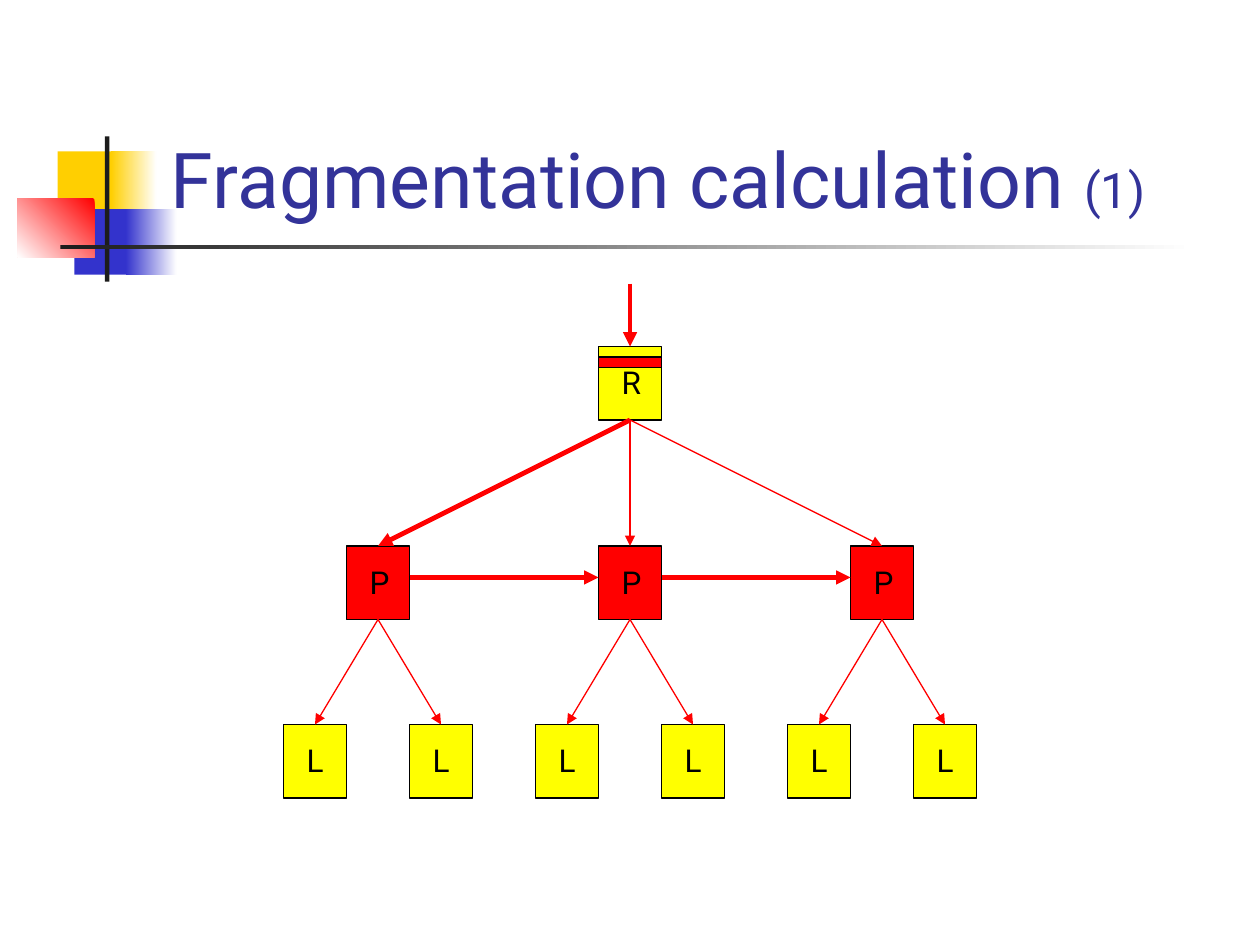
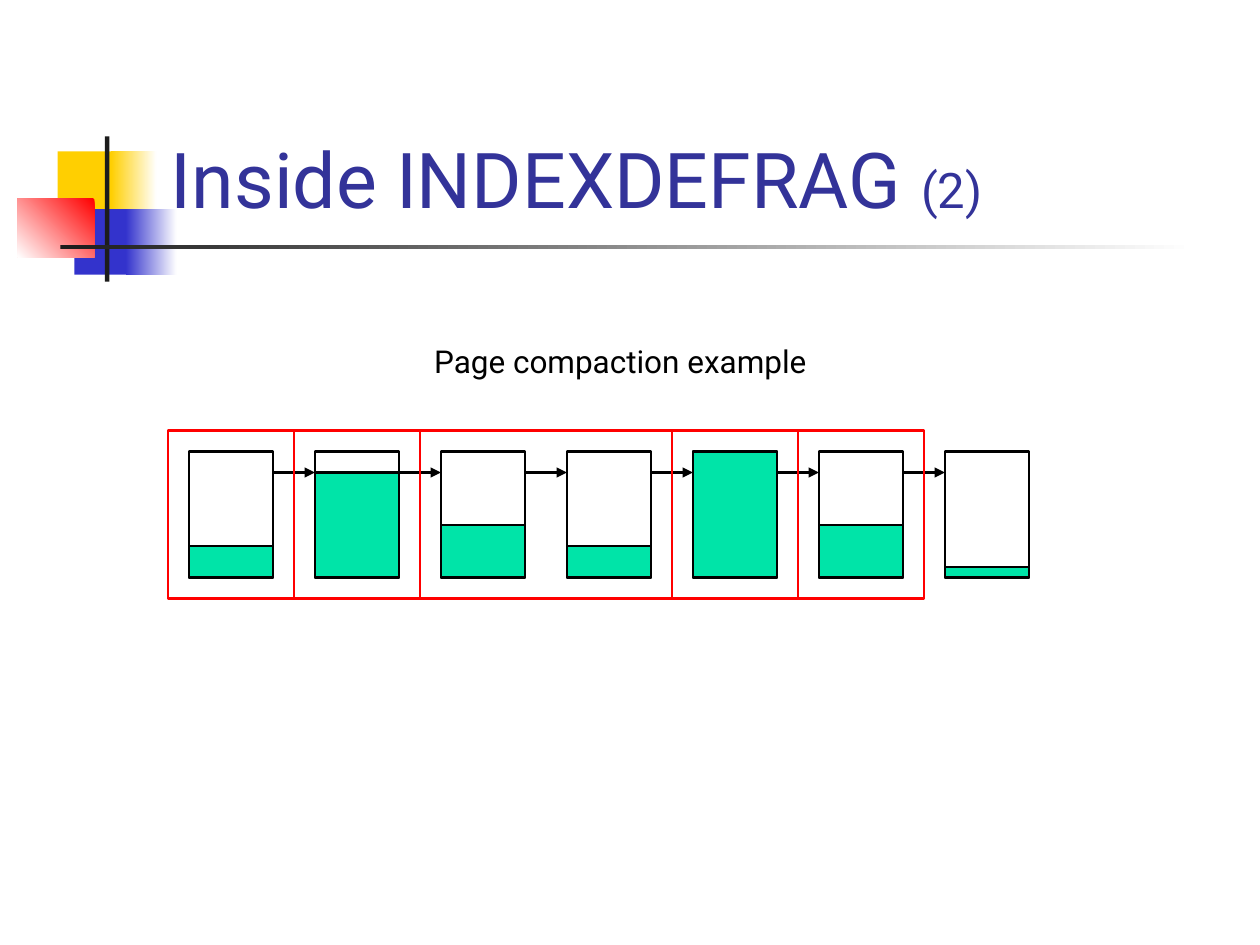
from dataclasses import dataclass
from typing import Any

from lxml.etree import SubElement
from pptx import Presentation
from pptx.dml.color import RGBColor
from pptx.enum.shapes import MSO_CONNECTOR, MSO_SHAPE
from pptx.enum.text import MSO_ANCHOR, MSO_AUTO_SIZE, PP_ALIGN
from pptx.oxml.ns import qn
from pptx.util import Pt

FONT = "Roboto"
BLACK, WHITE, RED = "000000", "FFFFFF", "FF0000"
YELLOW, GREEN, NAVY = "FFFF00", "00E4A8", "333399"
GOLD, BLUE, DARK = "FFCF01", "3333CC", "1C1C1C"


@dataclass
class Box:
    left: float
    top: float
    width: float
    height: float
    fill: str = ""
    line: float = 0
    ink: str = BLACK
    fade: int | None = None  # angle of a fade from the fill to white
    label: str = ""


@dataclass
class Arrow:
    x1: float
    y1: float
    x2: float
    y2: float
    color: str = RED
    width: float = 0.75


# Bars behind the title of every slide
DECOR = [
    Box(33, 86.5, 34.5, 37.5, GOLD),
    Box(63.5, 86.5, 26, 37.5, GOLD, fade=0),
    Box(42.5, 119.5, 33, 37.5, BLUE),
    Box(72, 119.5, 29, 37.5, BLUE, fade=0),
    Box(10, 113.5, 44, 33.5, RED, fade=225),
    Box(60, 78, 2.5, 83, DARK),
    Box(34.5, 140, 648, 2.5, DARK, fade=0),
]


def rgb(code: str) -> RGBColor:
    return RGBColor.from_string(code)


def assign(target: Any, values: dict[str, Any]) -> None:
    for name, value in values.items():
        setattr(target, name, value)


def write(para: Any, text: str, size: float, color: str) -> None:
    run = para.add_run()
    run.text = text
    assign(run.font, {"name": FONT, "size": Pt(size)})
    run.font.color.rgb = rgb(color)


def draw(slide: Any, box: Box) -> Any:
    shape = slide.shapes.add_shape(
        MSO_SHAPE.RECTANGLE, Pt(box.left), Pt(box.top), Pt(box.width), Pt(box.height)
    )
    shape.shadow.inherit = False
    if box.fade is not None:
        shape.fill.gradient()
        shape.fill.gradient_angle = box.fade
        for stop, color in zip(shape.fill.gradient_stops, (box.fill, WHITE)):
            stop.color.rgb = rgb(color)
    elif box.fill:
        shape.fill.solid()
        shape.fill.fore_color.rgb = rgb(box.fill)
    else:
        shape.fill.background()
    if box.line:
        shape.line.color.rgb = rgb(box.ink)
        shape.line.width = Pt(box.line)
    else:
        shape.line.fill.background()
    if box.label:
        frame = shape.text_frame
        assign(frame, {
            "margin_left": Pt(13.2), "margin_top": Pt(9.6),
            "margin_right": 0, "margin_bottom": 0,
            "vertical_anchor": MSO_ANCHOR.TOP,
        })
        para = frame.paragraphs[0]
        para.alignment = PP_ALIGN.LEFT
        write(para, box.label, 18, BLACK)
    return shape


def point(slide: Any, arrow: Arrow) -> Any:
    link = slide.shapes.add_connector(
        MSO_CONNECTOR.STRAIGHT,
        Pt(arrow.x1), Pt(arrow.y1), Pt(arrow.x2), Pt(arrow.y2),
    )
    link.line.color.rgb = rgb(arrow.color)
    link.line.width = Pt(arrow.width)
    props = link.element.spPr
    SubElement(props.find(qn("a:ln")), qn("a:tailEnd"), type="triangle")
    SubElement(props, qn("a:effectLst"))
    return link


def join(slide: Any, upper: Any, lower: Any, width: float = 0.75) -> None:
    link = point(slide, Arrow(0, 0, 0, 0, RED, width))
    link.begin_connect(upper, 2)
    link.end_connect(lower, 0)


def start(deck: Any, text: str, part: str) -> Any:
    slide = deck.slides.add_slide(deck.slide_layouts[5])
    title = slide.shapes.title
    assign(title, {"left": Pt(90.5), "top": Pt(16.5),
                   "width": Pt(613.5), "height": Pt(115)})
    assign(title.text_frame, {
        "vertical_anchor": MSO_ANCHOR.BOTTOM,
        "word_wrap": True, "auto_size": MSO_AUTO_SIZE.NONE,
    })
    para = title.text_frame.paragraphs[0]
    para.alignment = PP_ALIGN.LEFT
    write(para, text + " ", 44, NAVY)
    write(para, part, 28, NAVY)
    return slide


def dress(slide: Any) -> None:
    """Move the bars to the layout, so that all slides share them."""
    tree = slide.slide_layout.shapes.element
    for box in DECOR:
        tree.append(draw(slide, box).element)


def tree(slide: Any) -> None:
    wide, high, mid = 36, 42, 360

    def node(x: float, y: float, fill: str, label: str) -> Any:
        return draw(slide, Box(x - wide / 2, y, wide, high, fill, 0.75, label=label))

    # Root with its marked row
    root = node(mid, 198, YELLOW, "R")
    draw(slide, Box(mid - wide / 2, 204, wide, 6, RED, 0.75))
    entry = point(slide, Arrow(mid, 162, mid, 198, width=2.75))
    entry.end_connect(root, 0)

    # Pages and their leaves
    for i in range(3):
        x = mid + (i - 1) * 144
        page = node(x, 312, RED, "P")
        join(slide, root, page, 0.75 if i else 2.75)
        for side in (-36, 36):
            join(slide, page, node(x + side, 414, YELLOW, "L"))
        if i:
            point(slide, Arrow(x - 144 + wide / 2, 330, x - wide / 2, 330, width=2.75))


def compact(slide: Any) -> None:
    # Caption
    note = slide.shapes.add_textbox(Pt(241), Pt(192), Pt(238), Pt(29))
    note.text_frame.word_wrap = False
    write(note.text_frame.paragraphs[0], "Page compaction example", 18, BLACK)

    # Pages, each filled to its level
    left, top, step, wide, high = 108, 258, 72, 48, 72
    levels = (18, 60, 30, 18, 72, 30, 6)
    for i, level in enumerate(levels):
        x = left + i * step
        draw(slide, Box(x, top, wide, high, WHITE, 1.5))
        draw(slide, Box(x, top + high - level, wide, level, GREEN, 1.5))
    for i in range(len(levels) - 1):
        x = left + i * step + wide
        point(slide, Arrow(x, 270, x + step - wide, 270, BLACK, 1.5))

    # Overlapping frames: first page and count of pages
    for first, count in ((0, 2), (1, 3), (1, 4), (4, 2)):
        x = left - 12 + first * step
        draw(slide, Box(x, 246, count * step, 96, line=1.5, ink=RED))


def main() -> None:
    deck = Presentation()
    assign(deck, {"slide_width": Pt(720), "slide_height": Pt(540)})
    first = start(deck, "Fragmentation calculation", "(1)")
    dress(first)
    tree(first)
    compact(start(deck, "Inside INDEXDEFRAG", "(2)"))
    deck.save("out.pptx")


if __name__ == "__main__":
    main()
